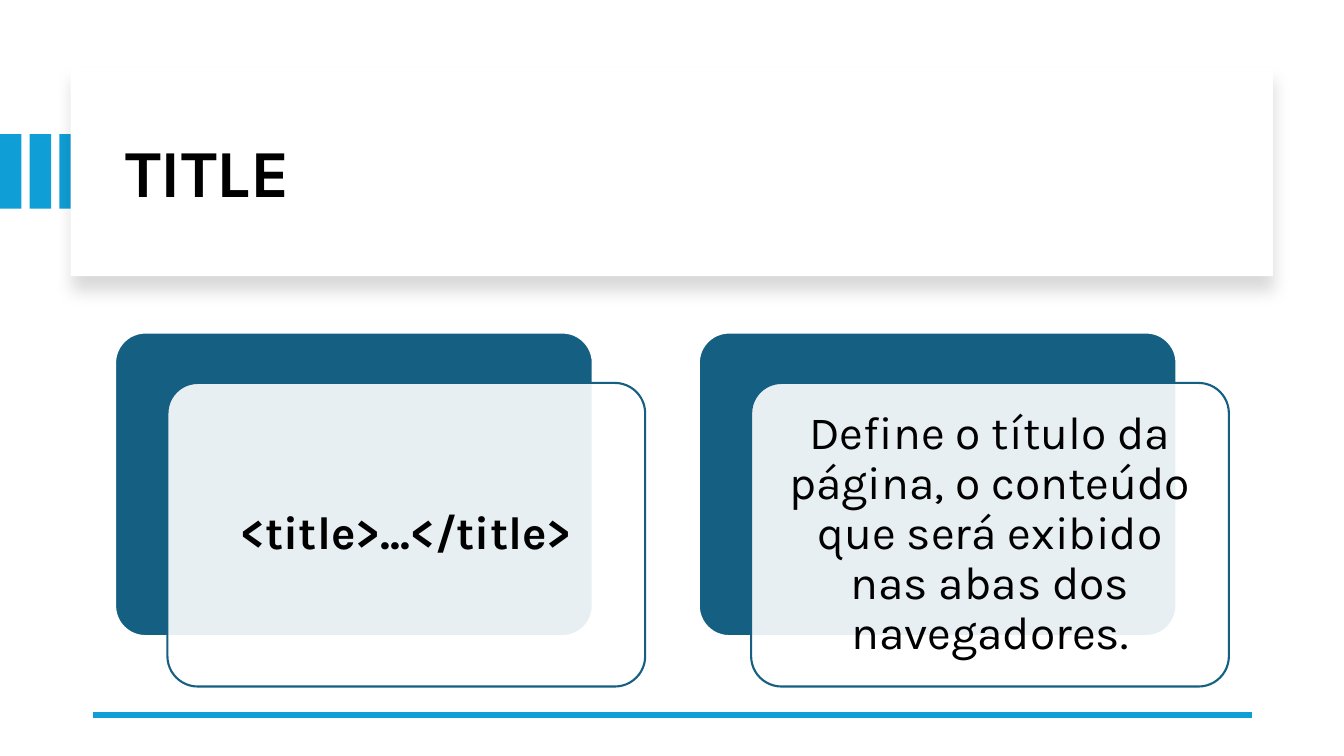
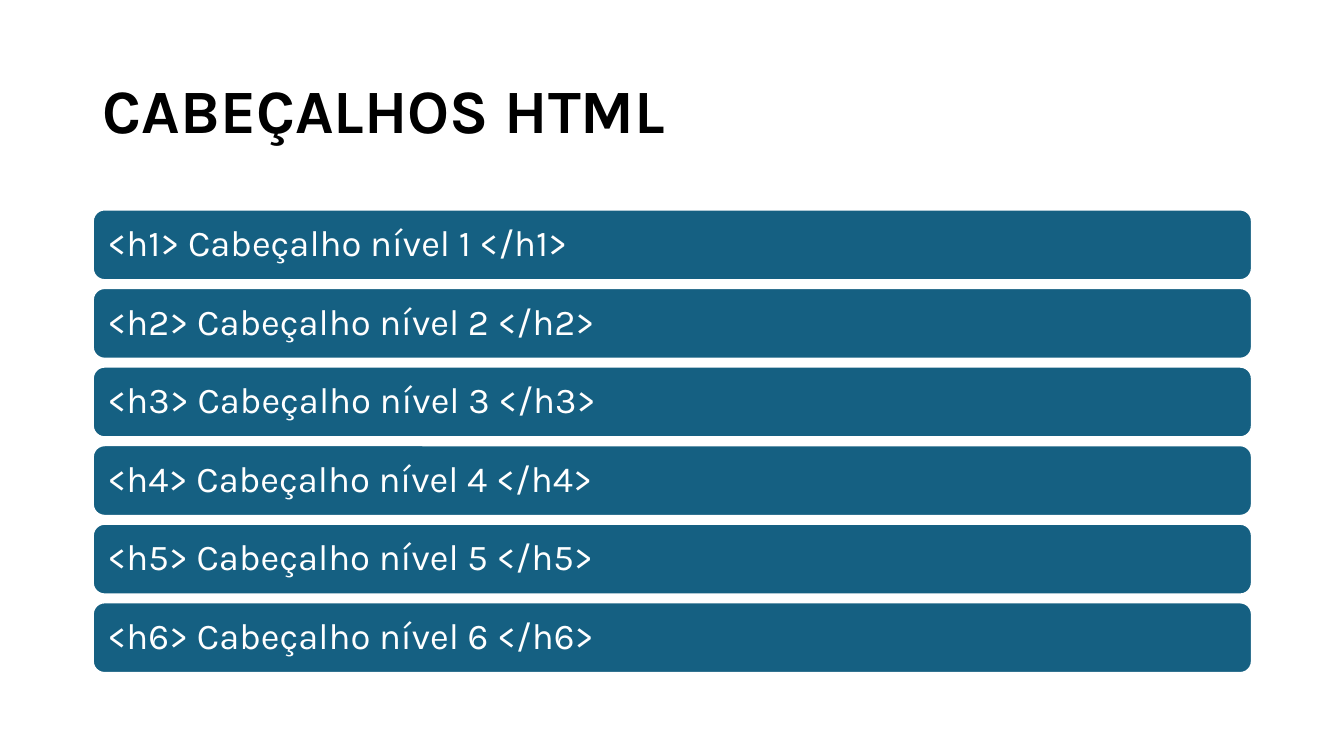
from pptx import Presentation
from pptx.dml.color import RGBColor
from pptx.enum.shapes import MSO_CONNECTOR, MSO_SHAPE
from pptx.enum.text import MSO_ANCHOR, MSO_AUTO_SIZE, PP_ALIGN
from pptx.oxml.ns import qn
from pptx.util import Cm, Pt
from lxml import etree

RECT = MSO_SHAPE.RECTANGLE
ROUND = MSO_SHAPE.ROUNDED_RECTANGLE
STRAIGHT = MSO_CONNECTOR.STRAIGHT
MIDDLE = MSO_ANCHOR.MIDDLE
LEFT, CENTER = PP_ALIGN.LEFT, PP_ALIGN.CENTER
NO_FIT = MSO_AUTO_SIZE.NONE

BLUE = RGBColor(0x0F, 0x9E, 0xD5)
TEAL = RGBColor(0x15, 0x60, 0x82)
WHITE = RGBColor(0xFF, 0xFF, 0xFF)
BLACK = RGBColor(0x00, 0x00, 0x00)

FONT = "Karla"
TITLE_ONLY = 5
MARGIN, CONTENT_W = 2.34, 29.21


def write(sp, text, size, color, bold=False, align=LEFT, inset=None):
    tf = sp.text_frame
    tf.word_wrap = True
    tf.auto_size = NO_FIT
    tf.vertical_anchor = MIDDLE
    if inset is not None:
        tf.margin_left = tf.margin_right = Cm(inset)
        tf.margin_top = tf.margin_bottom = Cm(inset)
    p = tf.paragraphs[0]
    p.alignment = align
    p.line_spacing = 0.9
    r = p.add_run()
    r.text = text
    r.font.name = FONT
    r.font.size = Pt(size)
    r.font.bold = bold
    r.font.color.rgb = color


def add_block(s, kind, box, fill, line=None, radius=None):
    sp = s.shapes.add_shape(kind, *map(Cm, box))
    sp.fill.solid()
    sp.fill.fore_color.rgb = fill
    if line is None:
        sp.line.fill.background()
    else:
        sp.line.color.rgb = line
        sp.line.width = Pt(1.5)
    if radius is not None:
        sp.adjustments[0] = radius
    sp.shadow.inherit = False
    return sp


def set_alpha(parent, percent):
    color = next(parent.iter(qn("a:srgbClr")))
    etree.SubElement(color, qn("a:alpha"), val=str(percent * 1000))


def add_soft_shadow(sp):
    effects = sp.element.spPr.find(qn("a:effectLst"))
    shadow = etree.SubElement(effects, qn("a:outerShdw"), blurRad=str(Pt(11)),
                              dist=str(Pt(10)), dir="5400000", algn="t",
                              rotWithShape="0")
    etree.SubElement(shadow, qn("a:srgbClr"), val=str(BLACK))
    set_alpha(shadow, 15)


def place_title(s, box, text, size):
    title = s.shapes.title
    title.left, title.top, title.width, title.height = map(Cm, box)
    write(title, text, size, BLACK, bold=True)
    title.element.getparent().append(title.element)


def title_panel(s, box, text):
    x, y, w, h = box
    for i in range(3):
        add_block(s, RECT, (0.75 * i, y + 1.68, 0.54, 1.88), BLUE)
    add_soft_shadow(add_block(s, RECT, box, WHITE))
    place_title(s, (x + 1.12, y + 0.56, w - 2.03, h - 0.94), text, 48)


def bottom_rule(s, x, y, w):
    rule = s.shapes.add_connector(STRAIGHT, Cm(x), Cm(y), Cm(x + w), Cm(y))
    rule.line.color.rgb = BLUE
    rule.line.width = Pt(4.5)
    etree.SubElement(rule.element.spPr, qn("a:effectLst"))


def card(s, box, text, bold):
    x, y, w, h = box
    add_block(s, ROUND, box, TEAL, WHITE, 0.1)
    front = add_block(s, ROUND, (x + 1.32, y + 1.27, w, h), WHITE, TEAL, 0.1)
    set_alpha(front.element.spPr.find(qn("a:solidFill")), 90)
    write(front, text, 33, BLACK, bold, CENTER, 0.36)


def bar_list(s, box, texts, gap):
    x, y, w, h = box
    bar_h = (h - gap * (len(texts) - 1)) / len(texts)
    for i, text in enumerate(texts):
        bar = add_block(s, ROUND, (x, y + i * (bar_h + gap), w, bar_h),
                        TEAL, WHITE)
        write(bar, text, 26, WHITE, inset=0.28)


def title_tag_slide(prs):
    s = prs.slides.add_slide(prs.slide_layouts[TITLE_ONLY])
    title_panel(s, (1.78, 1.7, 30.3, 5.26), "TITLE")
    bottom_rule(s, MARGIN, 18.01, CONTENT_W)
    cards = [
        ("<title>...</title>", True),
        ("Define o título da página, o conteúdo que será exibido "
         "nas abas dos navegadores.", False),
    ]
    for i, (text, bold) in enumerate(cards):
        card(s, (2.9 + 14.71 * i, 8.38, 12.04, 7.65), text, bold)


def headings_slide(prs):
    s = prs.slides.add_slide(prs.slide_layouts[TITLE_ONLY])
    place_title(s, (MARGIN, 1.01, CONTENT_W, 3.68), "CABEÇALHOS HTML", 44)
    headings = [f"<h{n}> Cabeçalho nível {n} </h{n}>" for n in range(1, 7)]
    bar_list(s, (MARGIN, 5.28, CONTENT_W, 11.68), headings, 0.2)


def main():
    prs = Presentation()
    prs.slide_width, prs.slide_height = Cm(33.87), Cm(19.05)
    title_tag_slide(prs)
    headings_slide(prs)
    prs.save("out.pptx")


if __name__ == "__main__":
    main()
